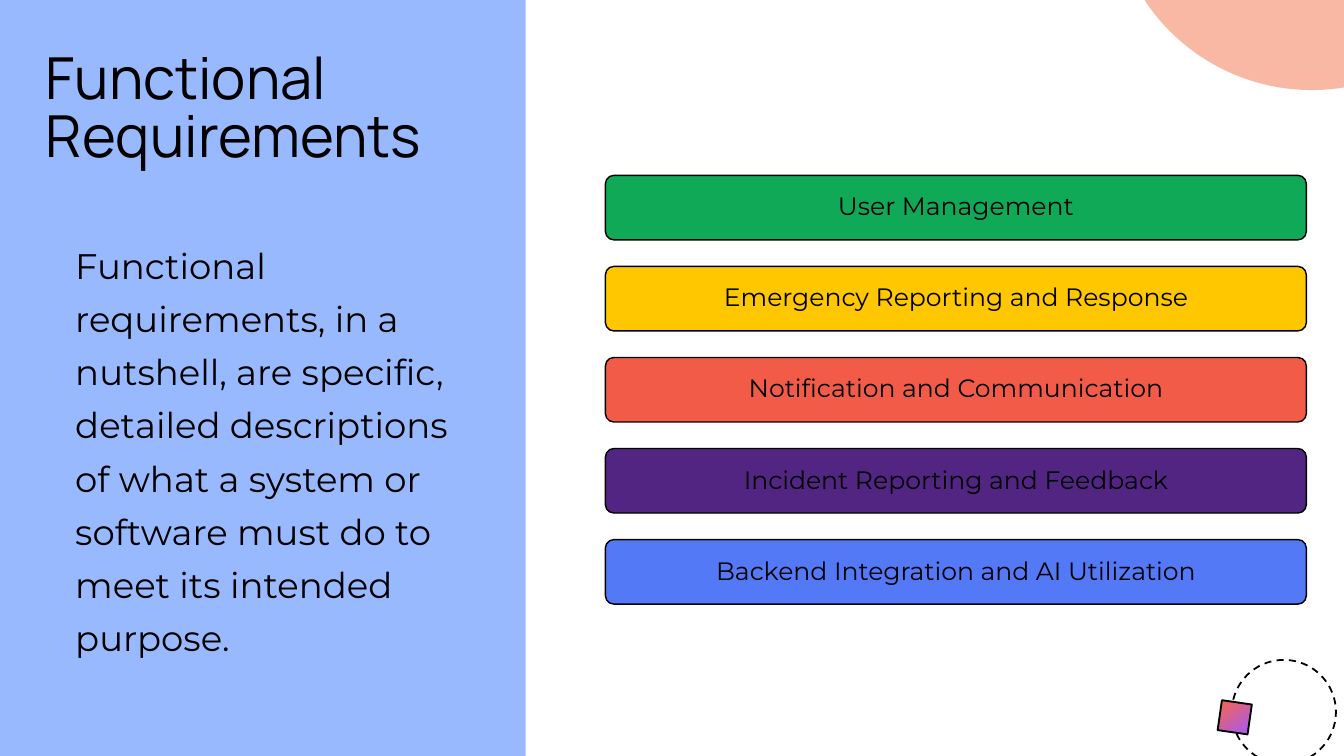
from math import cos, radians, sin

from lxml.etree import SubElement
from pptx import Presentation
from pptx.dml.color import RGBColor
from pptx.enum.dml import MSO_LINE
from pptx.enum.shapes import MSO_SHAPE as Shape
from pptx.enum.text import MSO_ANCHOR as Anchor, MSO_AUTO_SIZE as AutoSize, PP_ALIGN as Align
from pptx.oxml.ns import qn
from pptx.util import Inches, Pt

THEME = {
    "background": "99B9FF", "panel": "FFFFFF", "ink": "000000", "corner": "F14E1C",
    "square": ("FC6645", "A259FF"),
    "title": {"name": "Manrope", "size": Pt(62)},
    "body": {"name": "Montserrat", "size": Pt(38)},
    "banner": {"name": "Montserrat", "size": Pt(26.9)},
}
REQUIREMENTS = [
    ("User Management", "10A957"),
    ("Emergency Reporting and Response", "FFC700"),
    ("Notification and Communication", "F15B47"),
    ("Incident Reporting and Feedback", "522583"),
    ("Backend Integration and AI Utilization", "5479F7"),
]
DEFINITION = [
    "Functional requirements, in a nutshell, are specific, detailed descriptions of what a system or",
    "software must do to meet its intended purpose.",
]


def write(frame, lines, style, spacing, align=Align.LEFT, anchor=Anchor.TOP):
    """Fill a text frame with one paragraph per line, without insets."""
    settings = {"word_wrap": True, "auto_size": AutoSize.NONE, "vertical_anchor": anchor,
                "margin_left": 0, "margin_right": 0, "margin_top": 0, "margin_bottom": 0}
    for name, value in settings.items():
        setattr(frame, name, value)
    for index, line in enumerate(lines):
        paragraph = frame.add_paragraph() if index else frame.paragraphs[0]
        paragraph.text = line
        paragraph.alignment = align
        paragraph.line_spacing = Pt(spacing)
        for name, value in THEME[style].items():
            setattr(paragraph.font, name, value)
        paragraph.font.color.rgb = RGBColor.from_string(THEME["ink"])


def paint(shape, fill=None, line_width=None):
    """Set a solid fill and an ink outline; None leaves either one out."""
    shape.shadow.inherit = False
    if fill:
        shape.fill.solid()
        shape.fill.fore_color.rgb = RGBColor.from_string(fill)
    else:
        shape.fill.background()
    if line_width:
        shape.line.color.rgb = RGBColor.from_string(THEME["ink"])
        shape.line.width = Pt(line_width)
    else:
        shape.line.fill.background()


deck = Presentation()
deck.slide_width, deck.slide_height = Inches(20), Inches(11.25)
slide = deck.slides.add_slide(deck.slide_layouts[5])
slide.background.fill.solid()
slide.background.fill.fore_color.rgb = RGBColor.from_string(THEME["background"])
shapes = slide.shapes

panel = shapes.add_shape(Shape.RECTANGLE, Inches(7.82), 0, Inches(12.18), Inches(11.25))
paint(panel, THEME["panel"])

# Left column
title = shapes.title
title.left, title.top, title.width, title.height = map(Inches, (0.68, 0.78, 6.69, 1.83))
write(title.text_frame, ["Functional Requirements"], "title", 62.6)
definition = shapes.add_textbox(*map(Inches, (1.12, 3.47, 5.8, 6.21)))
write(definition.text_frame, DEFINITION, "body", 57)

# Requirement banners
BANNER_TOP, BANNER_HEIGHT, BANNER_PITCH = 2.61, 0.96, 1.355
for row, (requirement, color) in enumerate(REQUIREMENTS):
    top = BANNER_TOP + row * BANNER_PITCH
    banner = shapes.add_shape(Shape.ROUNDED_RECTANGLE, Inches(9.01), Inches(top),
                              Inches(10.43), Inches(BANNER_HEIGHT))
    banner.adjustments[0] = 0.13
    paint(banner, color, 1.5)
    write(banner.text_frame, [requirement], "banner", 28.5, Align.CENTER, Anchor.MIDDLE)

# Dashed ring with a gradient square on its edge
ring = shapes.add_shape(Shape.OVAL, *map(Inches, (18.33, 9.82, 1.55, 1.55)))
paint(ring, line_width=1.9)
ring.line.dash_style = MSO_LINE.DASH

square = shapes.add_shape(Shape.RECTANGLE, *map(Inches, (18.15, 10.45, 0.45, 0.45)))
paint(square, line_width=2)
square.rotation = 8.2
square.fill.gradient()
square.fill.gradient_angle = 315
for stop, color, position in zip(square.fill.gradient_stops, THEME["square"], (0, 1)):
    stop.color.rgb = RGBColor.from_string(color)
    stop.position = position

# Translucent disc cut off by the top right corner
CENTER_X, CENTER_Y, RADIUS = 19.52, -1.64, 2.98
arc = [(Inches(CENTER_X + RADIUS * cos(radians(angle))),
        Inches(CENTER_Y + RADIUS * sin(radians(angle)))) for angle in range(47, 167)]
outline = shapes.build_freeform(*arc[0])
outline.add_line_segments(arc[1:] + [(Inches(20.07), Inches(-2.56))], close=True)
corner = outline.convert_to_shape()
paint(corner, THEME["corner"])
corner_color = corner.fill._xPr.find(qn("a:solidFill"))[0]
SubElement(corner_color, qn("a:alpha"), val="40000")

deck.save("out.pptx")
